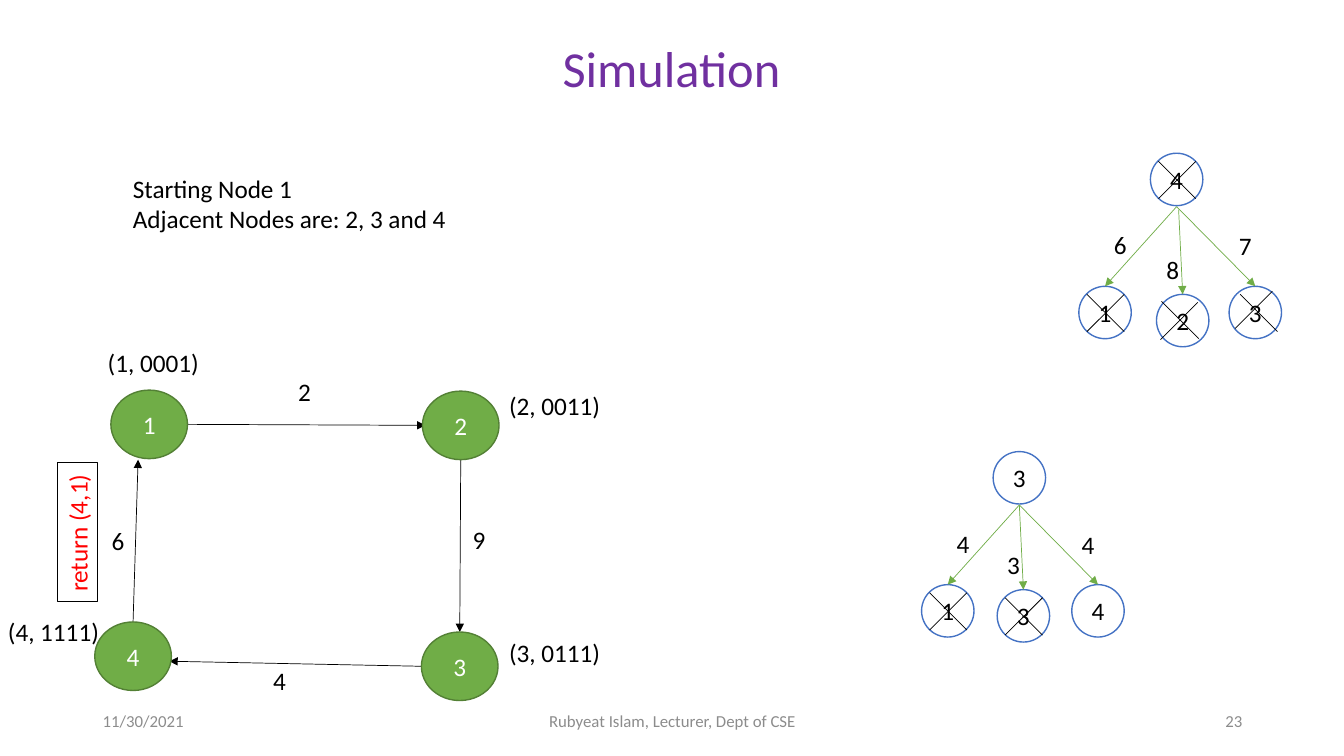
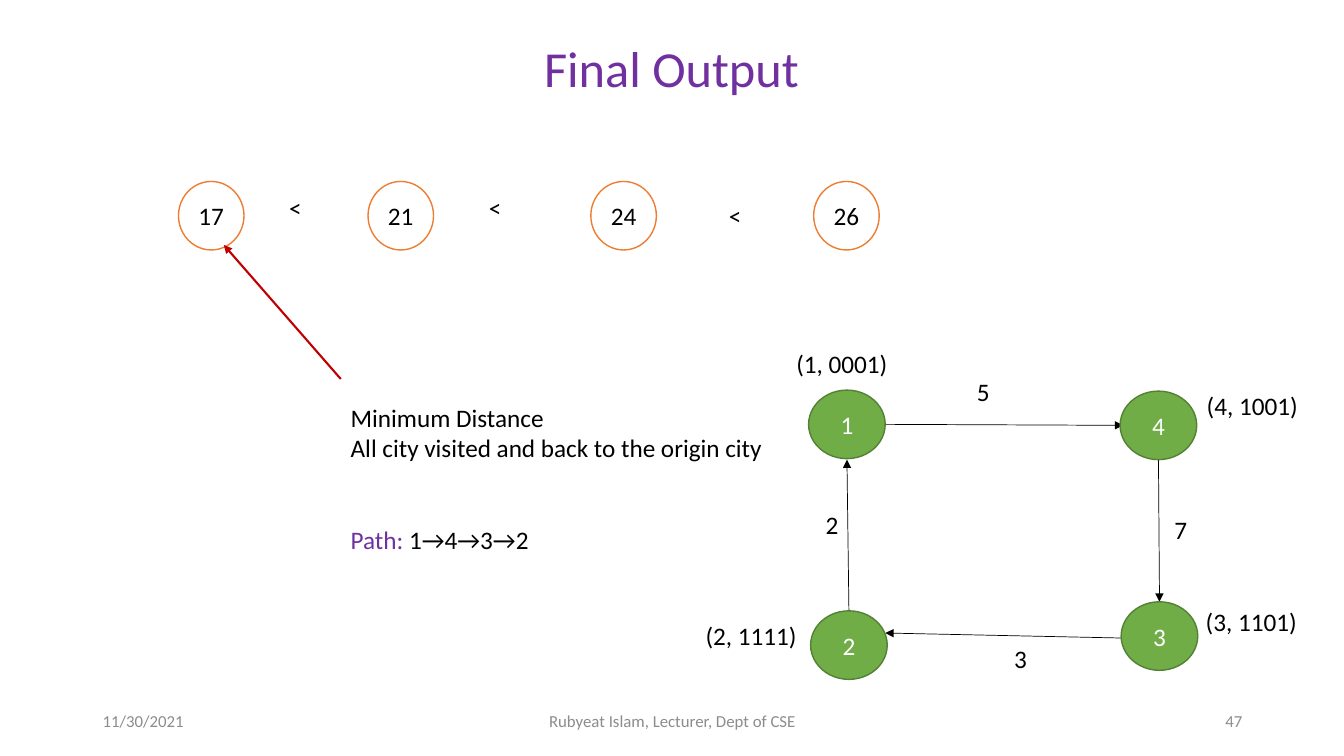
from dataclasses import dataclass

from lxml import etree
from pptx import Presentation
from pptx.dml.color import RGBColor
from pptx.enum.shapes import MSO_CONNECTOR, MSO_SHAPE
from pptx.enum.text import MSO_ANCHOR, MSO_AUTO_SIZE, PP_ALIGN
from pptx.oxml.ns import qn
from pptx.util import Emu, Pt

STRAIGHT = MSO_CONNECTOR.STRAIGHT
OVAL = MSO_SHAPE.OVAL
TOP, MIDDLE = MSO_ANCHOR.TOP, MSO_ANCHOR.MIDDLE
NO_FIT, GROW = MSO_AUTO_SIZE.NONE, MSO_AUTO_SIZE.SHAPE_TO_FIT_TEXT
LEFT, CENTER, RIGHT = PP_ALIGN.LEFT, PP_ALIGN.CENTER, PP_ALIGN.RIGHT

PURPLE = RGBColor(0x70, 0x30, 0xA0)
GREY = RGBColor(0x8C, 0x8C, 0x8C)
BLACK = RGBColor(0, 0, 0)
WHITE = RGBColor(0xFF, 0xFF, 0xFF)
GREEN = RGBColor(0x70, 0xAD, 0x47)
DARK_GREEN = RGBColor(0x53, 0x80, 0x35)
BLUE = RGBColor(0x44, 0x72, 0xC4)
ORANGE = RGBColor(0xED, 0x7D, 0x31)
RED = RGBColor(0xFF, 0, 0)
DARK_RED = RGBColor(0xC0, 0, 0)

FONT = "Calibri"
PX_PER_INCH = 100
CITY_W, CITY_H = 76, 68
LEAF = 52
STROKE = 37
CROSSED = ((8, 8), (8, 8))


@dataclass
class City:
    name: str
    spot: tuple
    tag: str
    tag_spot: tuple


@dataclass
class Road:
    start: tuple
    end: tuple
    cost: str
    cost_spot: tuple


def px(length):
    return Emu(length * 914400 // PX_PER_INCH)


def style_text(frame, size, color, align=LEFT):
    for paragraph in frame.paragraphs:
        paragraph.alignment = align
        for run in paragraph.runs:
            run.font.name = FONT
            run.font.size = Pt(size)
            run.font.color.rgb = color


def add_label(slide, text, x, y, width=33, height=40, color=BLACK):
    label = slide.shapes.add_textbox(px(x), px(y), px(width), px(height))
    frame = label.text_frame
    frame.text = text
    frame.word_wrap = False
    frame.auto_size = GROW
    style_text(frame, 18, color)
    return label


def add_circle(slide, text, x, y, width, height, fill, outline, color):
    circle = slide.shapes.add_shape(OVAL, px(x), px(y), px(width), px(height))
    circle.shadow.inherit = False
    circle.fill.solid()
    circle.fill.fore_color.rgb = fill
    circle.line.color.rgb = outline
    circle.line.width = Pt(1)
    frame = circle.text_frame
    frame.margin_left = frame.margin_right = 0
    frame.margin_top = frame.margin_bottom = 0
    frame.vertical_anchor = MIDDLE
    frame.text = text
    style_text(frame, 18, color, CENTER)
    return circle


def add_line(slide, start, end, color=BLACK, width=0.5, arrow=False):
    line = slide.shapes.add_connector(
        STRAIGHT, px(start[0]), px(start[1]), px(end[0]), px(end[1]))
    line.line.color.rgb = color
    line.line.width = Pt(width)
    if arrow:
        etree.SubElement(line.line._get_or_add_ln(), qn("a:tailEnd"), type="triangle")
    etree.SubElement(line._element.spPr, qn("a:effectLst"))
    return line


def add_footer(slide, page):
    parts = (
        ("11/30/2021", 92, 300, LEFT),
        ("Rubyeat Islam, Lecturer, Dept of CSE", 442, 450, CENTER),
        (page, 942, 300, RIGHT),
    )
    for text, x, width, align in parts:
        footer = slide.shapes.add_textbox(px(x), px(695), px(width), px(40))
        frame = footer.text_frame
        frame.word_wrap = True
        frame.vertical_anchor = MIDDLE
        frame.text = text
        style_text(frame, 12, GREY, align)


def start_slide(deck, heading, page):
    slide = deck.slides.add_slide(deck.slide_layouts[5])
    title = slide.shapes.title
    title.left, title.top = px(44), px(32)
    title.width, title.height = px(1244), px(71)
    frame = title.text_frame
    frame.text = heading
    frame.word_wrap = True
    frame.auto_size = NO_FIT
    frame.vertical_anchor = TOP
    style_text(frame, 36, PURPLE, CENTER)
    add_footer(slide, page)
    return slide


def add_tour(slide, left, top, cities, roads):
    def place(spot):
        return left + spot[0], top + spot[1]

    arrows = [add_line(slide, place(road.start), place(road.end), arrow=True)
              for road in roads]
    stops = [add_circle(slide, city.name, *place(city.spot), CITY_W, CITY_H,
                        GREEN, DARK_GREEN, WHITE) for city in cities]
    arrows[1].end_connect(stops[2], 0)
    arrows[3].begin_connect(stops[3], 0)
    for city in cities:
        add_label(slide, city.tag, *place(city.tag_spot), 112)
    for road in roads:
        add_label(slide, road.cost, *place(road.cost_spot))


def add_cross(slide, x, y, strokes):
    (fall_x, fall_y), (rise_x, rise_y) = strokes
    add_line(slide, (x + fall_x, y + fall_y),
             (x + fall_x + STROKE, y + fall_y + STROKE))
    add_line(slide, (x + rise_x + STROKE, y + rise_y),
             (x + rise_x, y + rise_y + STROKE))


def add_choice_tree(slide, left, top, root, root_cross, branches, middle_shift=(0, 0)):
    def add_leaf(name, x, y, strokes):
        leaf = add_circle(slide, name, x, y, LEAF, LEAF, WHITE, BLUE, BLACK)
        if strokes:
            add_cross(slide, x, y, strokes)
        return leaf

    add_leaf(root, left + 71, top, root_cross)
    slots = (
        ((0, 132), (25, 71), (0, 0)),
        ((75, 137), (75, 92), middle_shift),
        ((149, 132), (149, 72), (0, 0)),
    )
    for (name, cost, strokes), (spot, cost_spot, shift) in zip(branches, slots):
        x, y = left + shift[0], top + shift[1]
        leaf_x, leaf_y = x + spot[0], y + spot[1]
        leaf = add_leaf(name, leaf_x, leaf_y, strokes)
        branch = add_line(slide, (x + 97, y + 53), (leaf_x + LEAF // 2, leaf_y),
                          GREEN, arrow=True)
        branch.end_connect(leaf, 0)
        add_label(slide, cost, x + cost_spot[0], y + cost_spot[1])


def add_return_call(slide, x, y):
    call = add_label(slide, "return (4,1)", x, y, 138, color=RED)
    call.rotation = 270
    call.fill.solid()
    call.fill.fore_color.rgb = WHITE
    call.line.color.rgb = BLACK
    call.line.width = Pt(1)


def add_distance_order(slide, left, top):
    for distance, x in (("17", 0), ("21", 188), ("24", 409), ("26", 630)):
        add_circle(slide, distance, left + x, top, 65, 68, WHITE, ORANGE, BLACK)
    for x, y in ((100, 6), (298, 6), (536, 14)):
        add_label(slide, "<", left + x, top + y)


def add_result(slide, left, top):
    result = add_label(
        slide, "Minimum Distance\nAll city visited and back to the origin city",
        left, top, 433, 161)
    route = result.text_frame.add_paragraph()
    route.space_before = Pt(44)
    for text, color in (("Path: ", PURPLE), ("1→4→3→2", BLACK)):
        run = route.add_run()
        run.text = text
        run.font.name = FONT
        run.font.size = Pt(18)
        run.font.color.rgb = color


def build_simulation(deck):
    slide = start_slide(deck, "Simulation", "23")
    add_label(slide, "Starting Node 1\nAdjacent Nodes are: 2, 3 and 4", 122, 167, 334, 71)
    add_tour(
        slide, 110, 387,
        [City("1", (0, 0), "(1, 0001)", (-13, -47)),
         City("2", (309, 1), "(2, 0011)", (385, -5)),
         City("3", (308, 240), "(3, 0111)", (385, 240)),
         City("4", (-16, 230), "(4, 1111)", (-112, 220))],
        [Road((76, 34), (312, 35), "2", (176, -19)),
         Road((347, 69), (347, 240), "9", (349, 128)),
         Road((308, 274), (58, 269), "4", (151, 268)),
         Road((22, 230), (27, 69), "6", (-9, 129))])
    add_choice_tree(
        slide, 1070, 152, "4", CROSSED,
        [("1", "6", CROSSED),
         ("2", "8", ((5, 7), (4, 8))),
         ("3", "7", ((11, 8), (6, 5)))],
        middle_shift=(2, 3))
    add_choice_tree(
        slide, 914, 448, "3", None,
        [("1", "4", CROSSED), ("3", "3", CROSSED), ("4", "4", None)])
    add_return_call(slide, 8, 508)


def build_final_output(deck):
    slide = start_slide(deck, "Final Output", "47")
    add_distance_order(slide, 177, 180)
    add_line(slide, (338, 376), (222, 243), DARK_RED, 1.5, arrow=True)
    add_result(slide, 338, 394)
    add_tour(
        slide, 802, 387,
        [City("1", (0, 0), "(1, 0001)", (-22, -46)),
         City("4", (309, 1), "(4, 1001)", (385, -5)),
         City("3", (310, 210), "(3, 1101)", (384, 210)),
         City("2", (2, 219), "(2, 1111)", (-112, 223))],
        [Road((76, 34), (312, 35), "5", (157, -19)),
         Road((347, 69), (347, 210), "7", (353, 118)),
         Road((312, 246), (76, 241), "3", (194, 246)),
         Road((40, 219), (38, 69), "2", (7, 113))])


def main():
    deck = Presentation()
    deck.slide_width, deck.slide_height = px(1333), px(750)
    build_simulation(deck)
    build_final_output(deck)
    deck.save("out.pptx")


if __name__ == "__main__":
    main()
